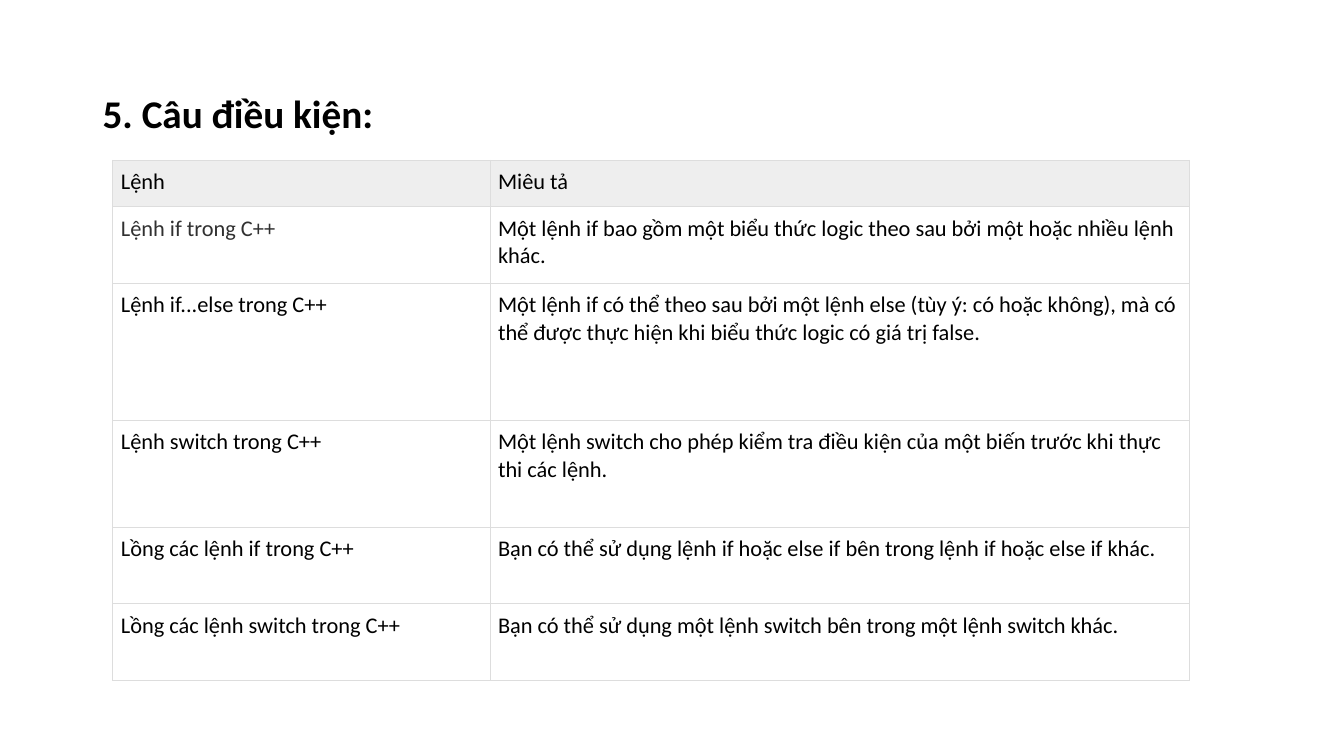
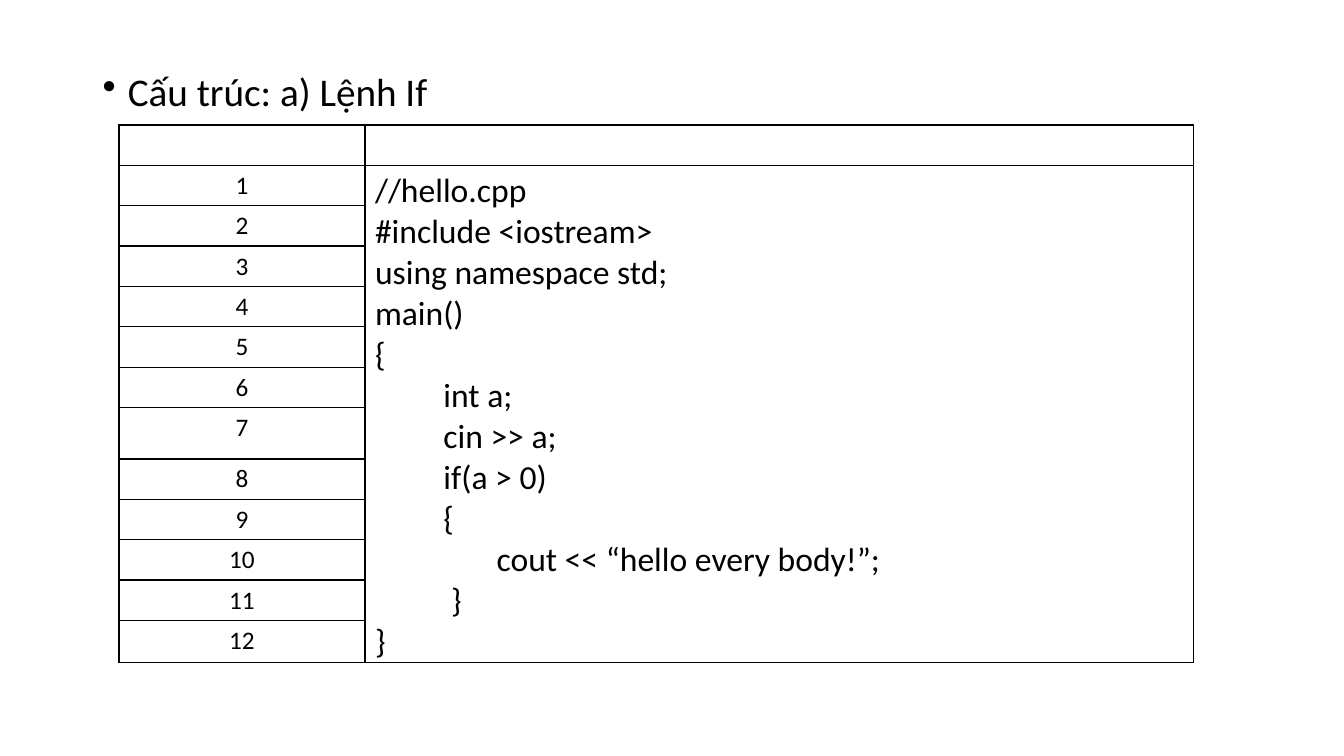
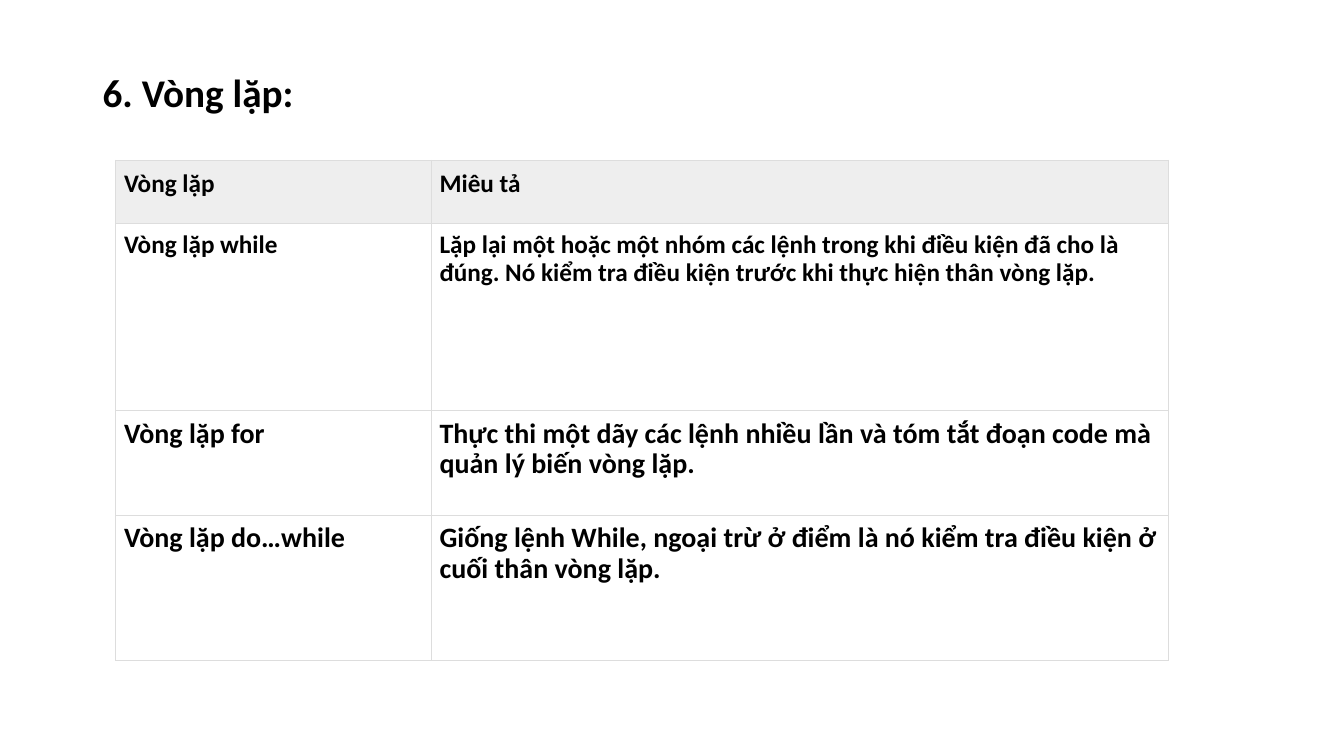
import pptx
import pptx.dml.color
import pptx.enum.text
import pptx.oxml
import pptx.oxml.ns
import pptx.util

Inches, Pt = pptx.util.Inches, pptx.util.Pt
RGB = pptx.dml.color.RGBColor
CENTER = pptx.enum.text.PP_ALIGN.CENTER

BLACK = RGB(0x00, 0x00, 0x00)
DARK = RGB(0x31, 0x31, 0x31)
GRAY = RGB(0xDD, 0xDD, 0xDD)
PALE = RGB(0xEE, 0xEE, 0xEE)
FONT = "Calibri"
PAD = 0.08

BRANCHES = [
    ("Lệnh", "Miêu tả"),
    ("Lệnh if trong C++",
     "Một lệnh if bao gồm một biểu thức logic theo sau bởi một hoặc nhiều lệnh khác."),
    ("Lệnh if...else trong C++",
     "Một lệnh if có thể theo sau bởi một lệnh else (tùy ý: có hoặc không), "
     "mà có thể được thực hiện khi biểu thức logic có giá trị false."),
    ("Lệnh switch trong C++",
     "Một lệnh switch cho phép kiểm tra điều kiện của một biến trước khi thực thi các lệnh."),
    ("Lồng các lệnh if trong C++",
     "Bạn có thể sử dụng lệnh if hoặc else if bên trong lệnh if hoặc else if khác."),
    ("Lồng các lệnh switch trong C++",
     "Bạn có thể sử dụng một lệnh switch bên trong một lệnh switch khác."),
]
BRANCH_ROWS = [0.46, 0.76, 1.36, 1.06, 0.76, 0.76]

CODE = """//hello.cpp
#include <iostream>
using namespace std;
main()
{
         int a;
         cin >> a;
         if(a > 0)
         {
                cout << “hello every body!”;
          }
}"""
CODE_ROWS = [0.4] * 7 + [0.51] + [0.4] * 4 + [0.42]

LOOPS = [
    ("Vòng lặp", "Miêu tả"),
    ("Vòng lặp while",
     "Lặp lại một hoặc một nhóm các lệnh trong khi điều kiện đã cho là đúng. "
     "Nó kiểm tra điều kiện trước khi thực hiện thân vòng lặp."),
    ("Vòng lặp for",
     "Thực thi một dãy các lệnh nhiều lần và tóm tắt đoạn code mà quản lý biến vòng lặp."),
    ("Vòng lặp do…while",
     "Giống lệnh While, ngoại trừ ở điểm là nó kiểm tra điều kiện ở cuối thân vòng lặp."),
]
LOOP_ROWS = [0.63, 1.85, 1.04, 1.44]
LOOP_SIZES = [18, 18, 20, 20]


def style(par, size, bold=False, color=BLACK):
    font = par.font
    font.name, font.size, font.bold = FONT, Pt(size), bold
    font.color.rgb = color


def add_title(slide, text, top, bullet=False):
    box = slide.shapes.add_textbox(Inches(0.92), Inches(top), Inches(11.5), Inches(0.6))
    box.text_frame.word_wrap = True
    par = box.text_frame.paragraphs[0]
    par.text = text
    par.line_spacing = 0.9
    if bullet:
        props = par._p.get_or_add_pPr()
        props.set("marL", str(Inches(0.25)))
        props.set("indent", str(-Inches(0.25)))
        mark = pptx.oxml.parse_xml(
            f'<a:buChar {pptx.oxml.ns.nsdecls("a")} char="•"/>')
        props.append(mark)
    style(par, 28, bold=not bullet)


def add_border(cell, color, width):
    props = cell._tc.get_or_add_tcPr()
    for place, side in enumerate("LRTB"):
        line = pptx.oxml.parse_xml(
            f'<a:ln{side} {pptx.oxml.ns.nsdecls("a")} w="{Pt(width)}">'
            f'<a:solidFill><a:srgbClr val="{color}"/></a:solidFill></a:ln{side}>')
        props.insert(place, line)


def add_grid(slide, left, top, cols, rows, color, width):
    """Add an empty table with plain cells and the same border all over."""
    table = slide.shapes.add_table(
        len(rows), len(cols), Inches(left), Inches(top),
        Inches(sum(cols)), Inches(sum(rows))).table
    table.first_row = table.horz_banding = False
    for col, size in zip(table.columns, cols):
        col.width = Inches(size)
    for row, size in zip(table.rows, rows):
        row.height = Inches(size)
    for cell in table.iter_cells():
        cell.fill.background()
        add_border(cell, color, width)
    return table


def fill_guide(table, content, sizes, bold=False, spacing=1.0):
    """Write a shaded header row and the rows that explain each command."""
    for r, (texts, size) in enumerate(zip(content, sizes)):
        for cell, text in zip(table.rows[r].cells, texts):
            cell.margin_left = cell.margin_right = Inches(PAD)
            cell.margin_top = cell.margin_bottom = Inches(PAD)
            cell.text = text
            par = cell.text_frame.paragraphs[0]
            if r == 0:
                cell.fill.solid()
                cell.fill.fore_color.rgb = PALE
            else:
                par.line_spacing = spacing
            style(par, size, bold)


def fill_code(table):
    last = len(CODE_ROWS) - 1
    for num in range(1, last + 1):
        cell = table.cell(num, 0)
        cell.text = str(num)
        par = cell.text_frame.paragraphs[0]
        par.alignment = CENTER
        style(par, 18)
    body = table.cell(1, 1)
    body.merge(table.cell(last, 1))
    body.text = CODE
    for par in body.text_frame.paragraphs:
        style(par, 24)


def main():
    deck = pptx.Presentation()
    deck.slide_width, deck.slide_height = Inches(13.33), Inches(7.5)
    blank = deck.slide_layouts[6]

    slide = deck.slides.add_slide(blank)
    add_title(slide, "5. Câu điều kiện:", 0.89)
    table = add_grid(slide, 1.12, 1.59, [3.74, 6.94], BRANCH_ROWS, GRAY, 0.75)
    fill_guide(table, BRANCHES, [16] * len(BRANCHES))
    style(table.cell(1, 0).text_frame.paragraphs[0], 16, color=DARK)

    slide = deck.slides.add_slide(blank)
    add_title(slide, "Cấu trúc: a) Lệnh If", 0.67, bullet=True)
    fill_code(add_grid(slide, 1.18, 1.24, [2.44, 8.22], CODE_ROWS, BLACK, 1))

    slide = deck.slides.add_slide(blank)
    add_title(slide, "6. Vòng lặp:", 0.68)
    table = add_grid(slide, 1.15, 1.59, [3.13, 7.31], LOOP_ROWS, GRAY, 0.75)
    fill_guide(table, LOOPS, LOOP_SIZES, bold=True, spacing=0.9)

    deck.save("out.pptx")


if __name__ == "__main__":
    main()
